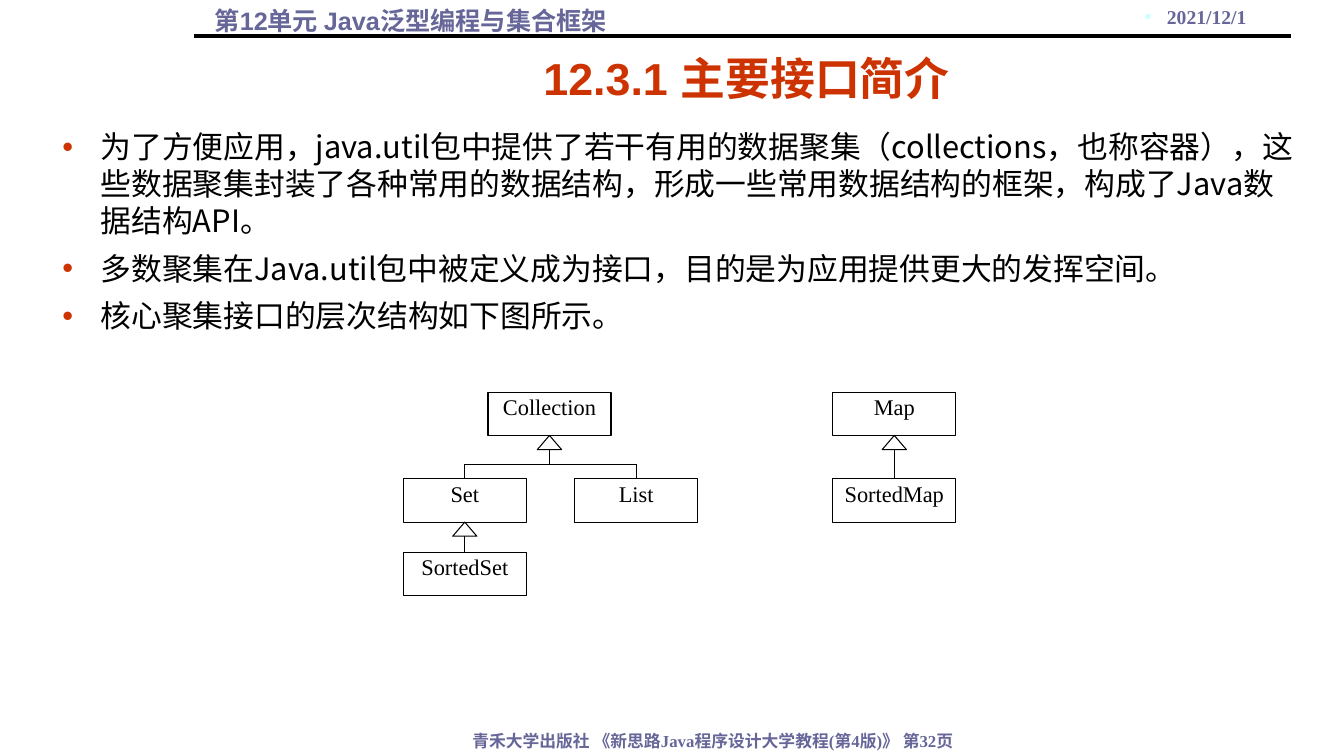
import pptx
import pptx.util
import pptx.dml.color
import pptx.enum.shapes
import pptx.enum.text
import pptx.oxml.ns
from lxml import etree

Inches, Pt = pptx.util.Inches, pptx.util.Pt
Shape = pptx.enum.shapes.MSO_SHAPE
Align = pptx.enum.text.PP_ALIGN
Anchor = pptx.enum.text.MSO_ANCHOR

COLORS = {"ink": "000000", "paper": "FFFFFF", "title": "CC3300",
          "header": "666699", "dot": "CCFFFF"}
SANS, SERIF, CJK = "Arial", "Times New Roman", "Noto Sans CJK SC"

HEADER = "第12单元 Java泛型编程与集合框架"
FOOTER = "青禾大学出版社 《新思路Java程序设计大学教程(第4版)》 第32页"
DATE = "2021/12/1"
TITLE = "12.3.1 主要接口简介"
POINTS = [
    "为了方便应用，java.util包中提供了若干有用的数据聚集（collections，也称容器），"
    "这些数据聚集封装了各种常用的数据结构，形成一些常用数据结构的框架，构成了Java数据结构API。",
    "多数聚集在Java.util包中被定义成为接口，目的是为应用提供更大的发挥空间。",
    "核心聚集接口的层次结构如下图所示。",
]

# Interface: (column, row)
INTERFACES = {"Collection": (1, 0), "Set": (0, 1), "List": (2, 1),
              "SortedSet": (0, 2), "Map": (3, 0), "SortedMap": (3, 1)}
CHILDREN = {"Collection": ["Set", "List"], "Set": ["SortedSet"], "Map": ["SortedMap"]}
COLUMN_CENTERS = [4.61, 5.45, 6.31, 8.87]
ROW_TOPS = [3.89, 4.75, 5.48]
BOX_WIDTH, BOX_HEIGHT = 1.22, 0.43
HEAD_WIDTH, HEAD_HEIGHT = 0.24, 0.14


def rgb(name):
    return pptx.dml.color.RGBColor.from_string(COLORS[name])


def add_bullet(para, color, indent):
    """Give the paragraph a hanging bullet; call before setting its font."""
    props = para._p.get_or_add_pPr()
    props.set("marL", str(Inches(indent)))
    props.set("indent", str(-Inches(indent)))
    qn = pptx.oxml.ns.qn
    tint = etree.SubElement(props, qn("a:buClr"))
    etree.SubElement(tint, qn("a:srgbClr"), val=COLORS[color])
    etree.SubElement(props, qn("a:buFont"), typeface=SANS)
    etree.SubElement(props, qn("a:buChar"), char="•")


def style(para, size, font, color, bold=False, align=Align.LEFT):
    para.alignment = align
    para.font.size, para.font.name, para.font.bold = Pt(size), font, bold
    para.font.color.rgb = rgb(color)
    latin = para.font._element.find(pptx.oxml.ns.qn("a:latin"))
    latin.addnext(latin.makeelement(pptx.oxml.ns.qn("a:ea"), {"typeface": CJK}))


def add_text(page, area, lines, size, font, color, bold=False, align=Align.LEFT,
             anchor=Anchor.TOP, bullet=None, right=0.1):
    frame = page.shapes.add_textbox(*map(Inches, area)).text_frame
    frame.word_wrap = True
    frame.vertical_anchor = anchor
    frame.margin_right = Inches(right)
    for number, line in enumerate(lines):
        para = frame.add_paragraph() if number else frame.paragraphs[0]
        para.text = line
        if bullet:
            add_bullet(para, *bullet)
        if number:
            para.space_before = Pt(0.35 * size)
        style(para, size, font, color, bold, align)


def add_line(page, start, end, width=0.75):
    line = page.shapes.add_connector(pptx.enum.shapes.MSO_CONNECTOR.STRAIGHT,
                                     *map(Inches, start + end))
    line.line.color.rgb = rgb("ink")
    line.line.width = Pt(width)
    etree.SubElement(line._element.spPr, pptx.oxml.ns.qn("a:effectLst"))


def add_outlined(page, kind, center, top, width, height):
    shape = page.shapes.add_shape(
        kind, *map(Inches, (center - width / 2, top, width, height)))
    shape.shadow.inherit = False
    shape.fill.solid()
    shape.fill.fore_color.rgb = rgb("paper")
    shape.line.color.rgb = rgb("ink")
    shape.line.width = Pt(0.75)
    return shape


def place(name):
    column, row = INTERFACES[name]
    return COLUMN_CENTERS[column], ROW_TOPS[row]


def add_interface(page, name):
    frame = add_outlined(page, Shape.RECTANGLE, *place(name), BOX_WIDTH, BOX_HEIGHT).text_frame
    frame.margin_left = frame.margin_right = frame.margin_top = frame.margin_bottom = 0
    frame.vertical_anchor = Anchor.MIDDLE
    para = frame.paragraphs[0]
    para.text = name
    para.line_spacing = Pt(9)
    style(para, 16, SERIF, "ink", align=Align.CENTER)


def add_inheritance(page, parent, children):
    """Draw the hollow arrowhead under the parent and the lines to its children."""
    center, top = place(parent)
    head_top = top + BOX_HEIGHT
    stem_top = head_top + HEAD_HEIGHT
    places = [place(child) for child in children]
    child_top = places[0][1]
    add_outlined(page, Shape.ISOSCELES_TRIANGLE, center, head_top, HEAD_WIDTH, HEAD_HEIGHT)
    if len(places) == 1:
        add_line(page, (center, stem_top), (center, child_top))
        return
    bus = (stem_top + child_top) / 2
    add_line(page, (center, stem_top), (center, bus))
    add_line(page, (places[0][0], bus), (places[-1][0], bus))
    for child_center, _ in places:
        add_line(page, (child_center, bus), (child_center, child_top))


def main():
    deck = pptx.Presentation()
    deck.slide_width, deck.slide_height = Inches(13.33), Inches(7.5)
    page = deck.slides.add_slide(deck.slide_layouts[6])
    add_text(page, (4.23, 7.2, 5.76, 0.3), [FOOTER], 12, SERIF, "header", True,
             Align.CENTER, right=0.18)
    add_text(page, (2.03, 0, 4.73, 0.4), [HEADER], 18, SANS, "header", True)
    add_line(page, (1.92, 0.36), (12.8, 0.36), 3)
    add_text(page, (1.82, 0.42, 11.17, 0.67), [TITLE], 32, SANS, "title", True,
             Align.CENTER, Anchor.BOTTOM)
    add_text(page, (0.52, 1.22, 12.43, 5.33), POINTS, 22, CJK, "ink",
             bullet=("title", 0.38))
    add_text(page, (10.53, 0, 2.8, 0.31), [DATE], 14, SERIF, "header", True,
             Align.CENTER, bullet=("dot", 0.22), right=0.24)
    for name in INTERFACES:
        add_interface(page, name)
    for parent, children in CHILDREN.items():
        add_inheritance(page, parent, children)
    deck.save("out.pptx")


if __name__ == "__main__":
    main()
